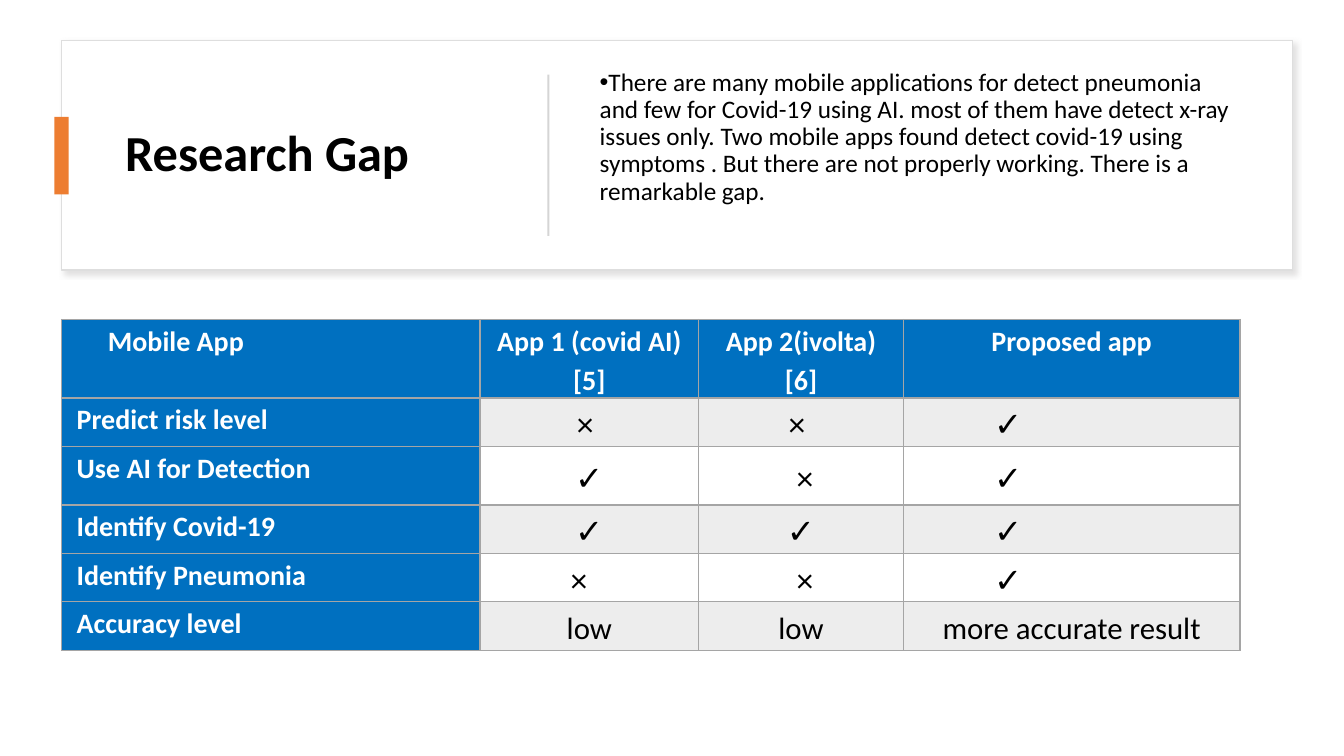
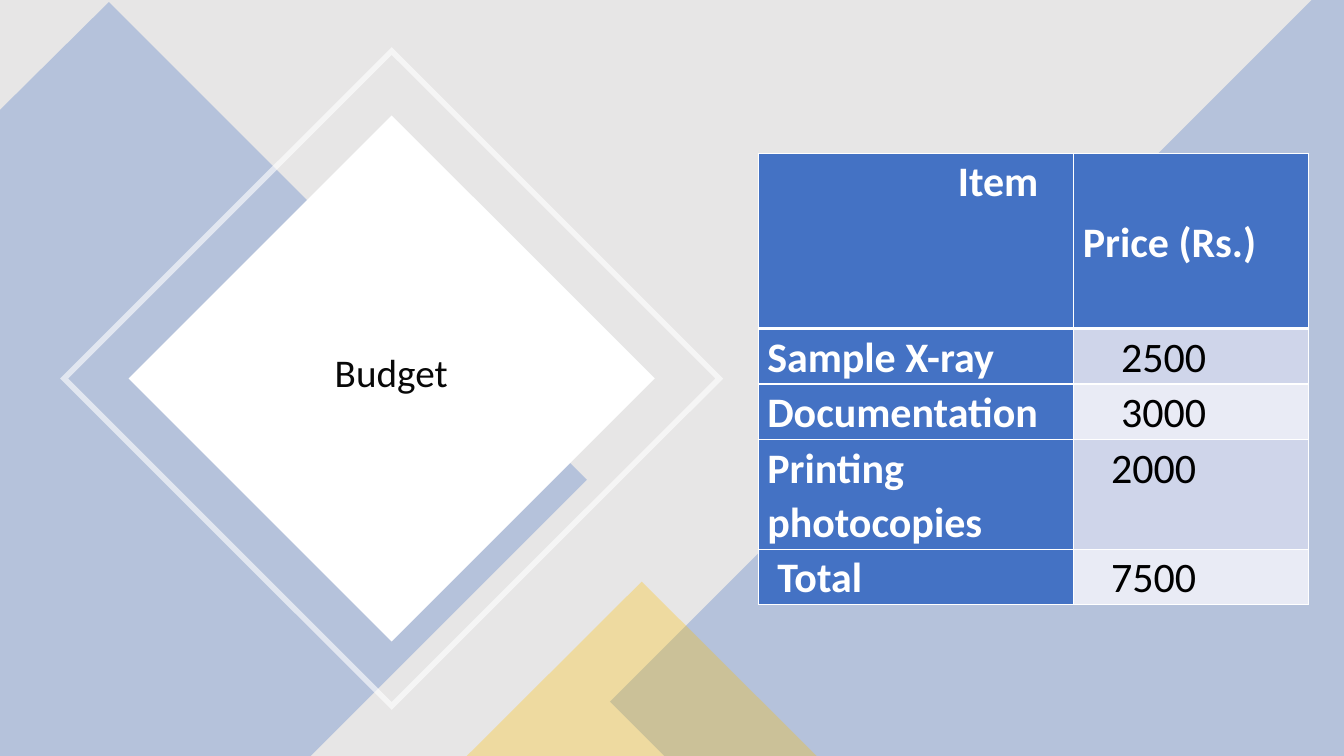
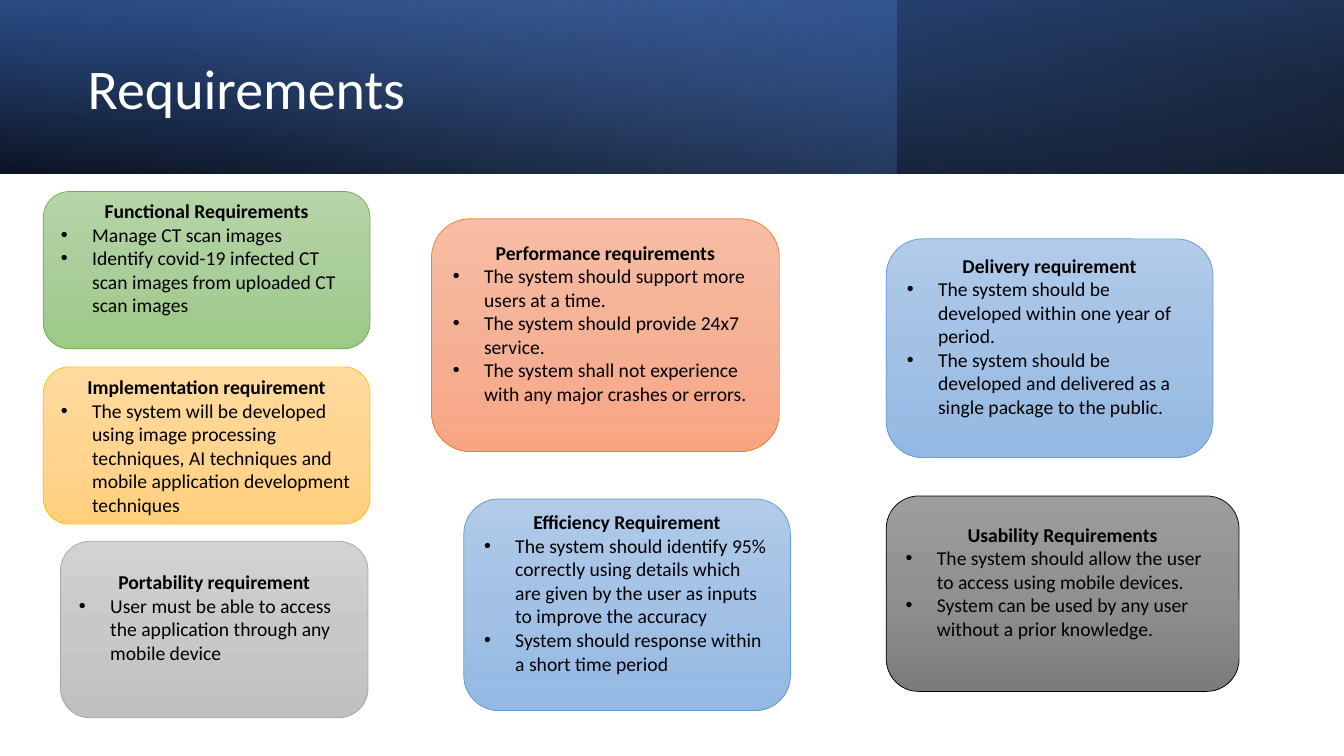
from collections import namedtuple
from dataclasses import dataclass

from lxml import etree
from pptx import Presentation
from pptx.dml.color import RGBColor
from pptx.enum.shapes import MSO_SHAPE
from pptx.enum.text import MSO_ANCHOR, MSO_AUTO_SIZE, PP_ALIGN
from pptx.oxml.ns import qn
from pptx.util import Inches, Pt

RECT, ROUND = MSO_SHAPE.RECTANGLE, MSO_SHAPE.ROUNDED_RECTANGLE
TRIANGLE, FRAME = MSO_SHAPE.ISOSCELES_TRIANGLE, MSO_SHAPE.FRAME
LEFT, CENTER = PP_ALIGN.LEFT, PP_ALIGN.CENTER
TOP, MIDDLE = MSO_ANCHOR.TOP, MSO_ANCHOR.MIDDLE
NO_FIT = MSO_AUTO_SIZE.NONE

Cell = namedtuple("Cell", "text size color bold fill align anchor shift")
Para = namedtuple("Para", "text bold align bullet")
Palette = namedtuple("Palette", "stops line")


@dataclass(frozen=True)
class Theme:
    font: str = "Calibri"
    black: str = "000000"
    ink: str = "080808"
    white: str = "FFFFFF"
    blue: str = "4472C4"
    navy: str = "2F5597"
    sky: str = "8FAADC"
    table_blue: str = "0070C0"
    orange: str = "ED7D31"
    gold: str = "FFC000"
    gray: str = "A5A5A5"
    pale_gray: str = "EDEDED"
    backdrop: str = "E7E6E6"
    card_edge: str = "DEDEDE"
    divider: str = "D5D5D5"
    shadow: str = "C5C3C3"
    bands: tuple = ("CFD5EA", "E9EBF5")
    card: int = 14
    body: int = 18
    label: int = 20
    word: int = 22
    mark: int = 24
    budget_title: int = 28
    price: int = 30
    gap_title: int = 36
    banner_title: int = 40


T = Theme()
GREEN = Palette(("B5D5A7", "AACE9A", "9CC987"), "70AD47")
YELLOW = Palette(("FFDB9E", "FFD590", "FFD07C"), T.gold)
SILVER = Palette(("D2D2D2", "C8C8C8", "C0C0C0"), T.gray)
CORAL = Palette(("F7BDA5", "F5B196", "F8A582"), T.orange)
AZURE = Palette(("B1CBE9", "A3C1E5", "93B9E4"), "5B9BD5")
CHARCOAL = Palette(("9D9D9D", "909090", "7C7C7C"), T.black)


def rgb(color):
    return RGBColor.from_string(color)


def assign(obj, **values):
    for name, value in values.items():
        setattr(obj, name, value)


def node(parent, tag, **attrs):
    return etree.SubElement(parent, qn(tag), {k: str(v) for k, v in attrs.items()})


def color_node(parent, color, opacity=100):
    clr = node(parent, "a:srgbClr", val=color)
    if opacity < 100:
        node(clr, "a:alpha", val=opacity * 1000)


class Deck:
    def __init__(self, theme):
        self.t = theme
        self.prs = Presentation()
        assign(self.prs, slide_width=Inches(13.33), slide_height=Inches(7.5))
        self.s = None

    def slide(self, background=None):
        self.s = self.prs.slides.add_slide(self.prs.slide_layouts[5])
        fill = self.s.background.fill
        fill.solid()
        fill.fore_color.rgb = rgb(background or self.t.white)

    def run(self, p, text, size, color, bold=False):
        r = p.add_run()
        r.text = text
        assign(r.font, name=self.t.font, size=Pt(size), bold=bold)
        r.font.color.rgb = rgb(color)

    def bullet(self, p, left, hang):
        pPr = p._p.get_or_add_pPr()
        pPr.set("marL", str(Inches(left)))
        pPr.set("indent", str(-Inches(hang)))
        node(pPr, "a:buFont", typeface="Arial")
        node(pPr, "a:buChar", char="•")

    def title(self, text, box, size, color, bold=False, align=LEFT):
        sp = self.s.shapes.title
        sp.element.getparent().append(sp.element)
        assign(sp, **dict(zip(("left", "top", "width", "height"), map(Inches, box))))
        tf = sp.text_frame
        assign(tf, word_wrap=True, auto_size=NO_FIT, vertical_anchor=MIDDLE)
        p = tf.paragraphs[0]
        assign(p, alignment=align, line_spacing=0.9)
        self.run(p, text, size, color, bold)

    def note(self, text, box):
        tf = self.s.shapes.add_textbox(*map(Inches, box)).text_frame
        assign(tf, word_wrap=True, vertical_anchor=TOP)
        p = tf.paragraphs[0]
        assign(p, alignment=LEFT, line_spacing=0.9)
        self.bullet(p, 0, 0.25)
        self.run(p, text, self.t.body, self.t.black)

    def paint(self, sp, fill, opacity=100, line=None, weight=1):
        sp.shadow.inherit = False
        sp.fill.solid()
        sp.fill.fore_color.rgb = rgb(fill)
        if opacity < 100:
            clr = sp._element.spPr.find(qn("a:solidFill"))[0]
            node(clr, "a:alpha", val=opacity * 1000)
        if line:
            sp.line.color.rgb = rgb(line)
            sp.line.width = Pt(weight)
        else:
            sp.line.fill.background()
        return sp

    def shape(self, kind, box, fill, rotation=0, **style):
        sp = self.s.shapes.add_shape(kind, *map(Inches, box))
        sp.rotation = rotation
        return self.paint(sp, fill, **style)

    def polygon(self, points, fill, opacity):
        points = [tuple(map(Inches, point)) for point in points]
        builder = self.s.shapes.build_freeform(*points[0])
        builder.add_line_segments(points[1:], close=True)
        return self.paint(builder.convert_to_shape(), fill, opacity)

    def cast_shadow(self, sp):
        effects = sp._element.spPr.find(qn("a:effectLst"))
        shadow = node(effects, "a:outerShdw", blurRad=Pt(4), dist=Pt(3),
                      dir=45 * 60000, algn="tl", rotWithShape=0)
        color_node(shadow, self.t.shadow, 50)

    def gradient(self, kind, box, stops, angle, line=None, rotation=0, flip=False):
        sp = self.shape(kind, box, stops[0][1], rotation, line=line, weight=0.5)
        spPr = sp._element.spPr
        solid = spPr.find(qn("a:solidFill"))
        grad = etree.Element(qn("a:gradFill"), rotWithShape="1")
        gs_list = node(grad, "a:gsLst")
        for position, color, opacity in stops:
            color_node(node(gs_list, "a:gs", pos=position * 1000), color, opacity)
        node(grad, "a:lin", ang=angle * 60000, scaled=0)
        spPr.replace(solid, grad)
        if flip:
            spPr.find(qn("a:xfrm")).set("flipH", "1")
        return sp

    def card(self, box, palette, heading, items, lift=0.24):
        stops = [(50 * i, c, 100) for i, c in enumerate(palette.stops)]
        sp = self.gradient(ROUND, box, stops, 90, line=palette.line)
        tf = sp.text_frame
        assign(tf, word_wrap=True, vertical_anchor=MIDDLE,
               margin_bottom=Inches(0.05 + lift))
        paras = [Para(heading, True, CENTER, False)]
        paras += [Para(item, False, LEFT, True) for item in items]
        for i, para in enumerate(paras):
            p = tf.add_paragraph() if i else tf.paragraphs[0]
            p.alignment = para.align
            if para.bullet:
                self.bullet(p, 0.31, 0.31)
            self.run(p, para.text, self.t.card, self.t.black, para.bold)

    def table(self, at, widths, heights, rows, inset, spacing, edge, head_edge):
        size = (sum(widths), sum(heights))
        frame = self.s.shapes.add_table(len(rows), len(widths),
                                        *map(Inches, at + size))
        table = frame.table
        assign(table, first_row=False, horz_banding=False)
        for column, width in zip(table.columns, widths):
            column.width = Inches(width)
        for y, (cells, height) in enumerate(zip(rows, heights)):
            table.rows[y].height = Inches(height)
            borders = dict(L=1, R=1, T=head_edge if y == 1 else 1,
                           B=1 if y else head_edge)
            for x, data in enumerate(cells):
                cell = table.cell(y, x)
                self.cell(cell, data, inset, spacing)
                self.borders(cell, edge, borders)

    def cell(self, cell, data, inset, spacing):
        assign(cell, vertical_anchor=data.anchor, margin_top=0, margin_bottom=0,
               margin_left=Inches(inset + max(data.shift, 0)),
               margin_right=Inches(inset + max(-data.shift, 0)))
        cell.fill.solid()
        cell.fill.fore_color.rgb = rgb(data.fill)
        p = cell.text_frame.paragraphs[0]
        assign(p, alignment=data.align, line_spacing=spacing, space_after=Pt(8))
        self.run(p, data.text, data.size, data.color, data.bold)

    def borders(self, cell, color, weights):
        tcPr = cell._tc.get_or_add_tcPr()
        for i, (side, weight) in enumerate(weights.items()):
            ln = node(tcPr, "a:ln" + side, w=Pt(weight))
            color_node(node(ln, "a:solidFill"), color)
            tcPr.insert(i, ln)


def research_gap(d):
    def label(text, align=LEFT, shift=0):
        return Cell(text, T.label, T.white, True, T.table_blue, align, TOP, shift)

    def value(text, fill, align=CENTER, shift=0, size=T.mark):
        return Cell(text, size, T.black, False, fill, align, MIDDLE, shift)

    d.slide()
    panel = d.shape(RECT, (0.61, 0.4, 12.21, 2.28), T.white, line=T.card_edge)
    d.cast_shadow(panel)
    d.shape(RECT, (0.54, 1.16, 0.14, 0.77), T.orange)
    d.shape(RECT, (5.43, 0.74, 0.02, 1.6), T.divider)
    d.title("Research Gap", (1.14, 0.64, 3.89, 1.8), T.gap_title, T.black, bold=True)
    d.note("There are many mobile applications for detect pneumonia and few for "
           "Covid-19 using AI. most of them have detect x-ray issues only. Two mobile "
           "apps found detect covid-19 using symptoms . But there are not properly "
           "working. There is a remarkable gap.", (5.85, 0.64, 6.56, 1.8))

    yes, no = "✓", "×"
    features = [
        ("Predict risk level", (no, CENTER, -0.08), (no, CENTER, -0.08)),
        ("Use AI for Detection", (yes,), (no, CENTER, 0.08)),
        ("Identify Covid-19", (yes,), (yes,)),
        ("Identify Pneumonia", (no, LEFT, 0.75), (no, CENTER, 0.08)),
    ]
    rows = [[label("Mobile App", shift=0.31), label("App 1 (covid AI)[5]", CENTER),
             label("App 2(ivolta)[6]", CENTER), label("Proposed app", CENTER)]]
    for i, (name, first, second) in enumerate(features):
        fill = T.white if i % 2 else T.pale_gray
        marks = (first, second, (yes, LEFT, 0.75))
        rows.append([label(name)] + [value(m[0], fill, *m[1:]) for m in marks])
    results = ("low", "low", "more accurate result")
    rows.append([label("Accuracy level")]
                + [value(text, T.pale_gray, size=T.word) for text in results])
    d.table((0.61, 3.17), (4.15, 2.17, 2.03, 3.34),
            (0.78, 0.48, 0.58, 0.48, 0.48, 0.48), rows, 0.15, 1.15, T.gray, 2)


def budget(d):
    def label(text, shift=0, anchor=TOP):
        return Cell(text, T.price, T.white, True, T.blue, LEFT, anchor, shift)

    d.slide(T.backdrop)
    d.polygon([(1.08, 0.02), (5.82, 4.76), (3.08, 7.5), (0, 7.5), (0, 1.09)],
              T.blue, 30)
    d.polygon([(13.01, 0), (13.33, 0), (13.33, 7.5), (6.59, 7.5), (6.05, 6.96)],
              T.blue, 30)
    d.shape(TRIANGLE, (4.63, 5.77, 3.47, 1.73), T.gold, opacity=30)
    d.shape(RECT, (2.04, 1.91, 3.69, 3.69), T.white, rotation=45)
    frame = d.shape(FRAME, (1.56, 1.43, 4.65, 4.65), T.white, rotation=45, opacity=60)
    frame.adjustments[0] = 0.012
    d.title("Budget", (1.9, 2.98, 3.96, 1.47), T.budget_title, T.ink, align=CENTER)

    items = [("Sample X-ray", 0, "2500", 0.38), ("Documentation", 0, "3000", 0.38),
             ("Printing photocopies", 0, "2000", 0.28), ("Total", 0.1, "7500", 0.28)]
    rows = [[label("Item", 1.89), label("Price (Rs.)", anchor=MIDDLE)]]
    for i, (item, item_shift, price, price_shift) in enumerate(items):
        rows.append([label(item, item_shift),
                     Cell(price, T.price, T.black, False, T.bands[i % 2], LEFT, TOP,
                          price_shift)])
    d.table((7.52, 1.52), (3.13, 2.33), (1.74, 0.55, 0.55, 1.08, 0.55),
            rows, 0.09, 1.07, T.white, 3)


def requirements(d):
    banner = (0, 0, 13.33, 1.72)
    d.slide()
    d.gradient(RECT, banner, [(0, T.black, 96), (100, T.navy, 100)], 100,
               rotation=180, flip=True)
    d.gradient(RECT, (0, 0, 8.89, 1.72), [(0, T.blue, 41), (74, T.sky, 0)], 140)
    d.gradient(RECT, banner, [(0, T.black, 63), (78, T.blue, 15)], 260, flip=True)
    d.title("Requirements", (0.77, 0.27, 7.72, 1.27), T.banner_title, T.white)

    d.card((0.43, 1.9, 3.24, 1.56), GREEN, "Functional Requirements", [
        "Manage CT scan images",
        "Identify covid-19 infected CT scan images from uploaded CT scan images"])
    d.card((0.43, 3.64, 3.24, 1.56), YELLOW, "Implementation requirement", [
        "The system will be developed using image processing techniques, AI "
        "techniques and mobile application development techniques"], lift=0)
    d.card((0.6, 5.37, 3.05, 1.75), SILVER, "Portability requirement", [
        "User must be able to access the application through any mobile device"])
    d.card((4.28, 2.17, 3.45, 2.31), CORAL, "Performance requirements", [
        "The system should support more users at a time.",
        "The system should provide 24x7 service.",
        "The system shall not experience with any major crashes or errors."])
    d.card((4.6, 4.95, 3.24, 2.1), AZURE, "Efficiency Requirement", [
        "The system should identify 95% correctly using details which are given by "
        "the user as inputs to improve the accuracy",
        "System should response within a short time period"])
    d.card((8.79, 2.37, 3.24, 2.17), AZURE, "Delivery requirement", [
        "The system should be developed within one year of period.",
        "The system should be developed and delivered as a single package to the "
        "public."])
    d.card((8.79, 4.92, 3.5, 1.94), CHARCOAL, "Usability Requirements", [
        "The system should allow the user to access using mobile devices.",
        "System can be used by any user without a prior knowledge."])


def main():
    d = Deck(T)
    for build in (research_gap, budget, requirements):
        build(d)
    d.prs.save("out.pptx")


if __name__ == "__main__":
    main()
